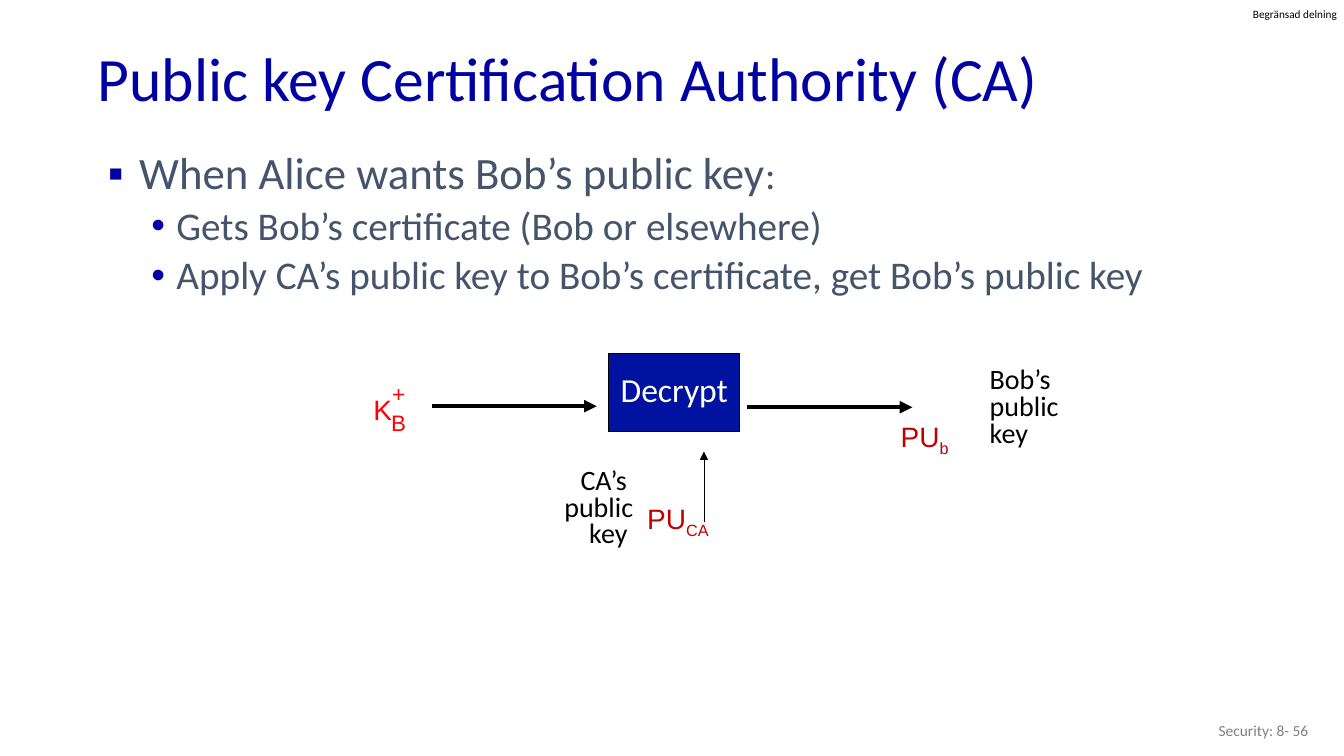
from lxml import etree
from pptx import Presentation
from pptx.dml.color import RGBColor
from pptx.enum.shapes import MSO_CONNECTOR, MSO_SHAPE
from pptx.enum.text import MSO_ANCHOR, MSO_AUTO_SIZE, PP_ALIGN
from pptx.oxml.ns import qn
from pptx.util import Inches, Pt

LEFT, CENTER, RIGHT = PP_ALIGN.LEFT, PP_ALIGN.CENTER, PP_ALIGN.RIGHT
TOP, MIDDLE = MSO_ANCHOR.TOP, MSO_ANCHOR.MIDDLE
WIDTH, HEIGHT = Inches(13.33), Inches(7.5)
# The slide is a grid of 100 columns by 100 rows
COL, ROW = WIDTH / 100, HEIGHT / 100
SANS, ARIAL = "Calibri", "Arial"
BLACK, WHITE, RED, DARK_RED = "000000", "FFFFFF", "FF0000", "C00000"
TITLE_BLUE, BOX_BLUE, SLATE, GREY = "0000A3", "0012A0", "44546A", "808080"


def color(value):
    return RGBColor.from_string(value)


def cells(box, left=0, top=0, width=None, height=None):
    """Length of a part given in columns and rows from the corner of a box."""
    width = box[2] if width is None else width
    height = box[3] if height is None else height
    return (round((box[0] + left) * COL), round((box[1] + top) * ROW),
            round(width * COL), round(height * ROW))


def place(shape, box):
    shape.left, shape.top, shape.width, shape.height = cells(box)


def add_span(para, text, size, ink, font=SANS, subscript=False):
    span = para.add_run()
    span.text = text
    span.font.size = Pt(size)
    span.font.name = font
    span.font.color.rgb = color(ink)
    if subscript:
        span.font._element.set("baseline", "-25000")


def set_frame(shape, anchor=TOP, wrap=True):
    frame = shape.text_frame
    frame.auto_size = MSO_AUTO_SIZE.NONE
    frame.word_wrap = wrap
    frame.vertical_anchor = anchor
    return frame


def add_label(page, where, lines, align=LEFT, spacing=1.0, anchor=TOP,
              wrap=True, fill=None):
    """Text box; each line is a list of spans."""
    box = page.shapes.add_textbox(*where)
    frame = set_frame(box, anchor, wrap)
    if fill:
        box.fill.solid()
        box.fill.fore_color.rgb = color(fill)
    for number, spans in enumerate(lines):
        para = frame.add_paragraph() if number else frame.paragraphs[0]
        para.alignment = align
        para.line_spacing = spacing
        for span in spans:
            add_span(para, *span)
    return box


def add_arrow(page, box, start, end, weight):
    x1, y1 = cells(box, *start)[:2]
    x2, y2 = cells(box, *end)[:2]
    arrow = page.shapes.add_connector(MSO_CONNECTOR.STRAIGHT, x1, y1, x2, y2)
    arrow.line.color.rgb = color(BLACK)
    arrow.line.width = Pt(weight)
    line = arrow.line._get_or_add_ln()
    etree.SubElement(line, qn("a:tailEnd"), type="triangle")
    etree.SubElement(arrow._element.spPr, qn("a:effectLst"))


def set_bullet(para, mark, ink, margin, hanging):
    props = para._p.get_or_add_pPr()
    props.set("marL", str(Inches(margin)))
    props.set("indent", str(-Inches(hanging)))
    tint = etree.SubElement(props, qn("a:buClr"))
    etree.SubElement(tint, qn("a:srgbClr"), val=ink)
    etree.SubElement(props, qn("a:buFont"), typeface=ARIAL)
    etree.SubElement(props, qn("a:buChar"), char=mark)


def draw_title(page, box):
    title = page.shapes.title
    place(title, box)
    para = set_frame(title, MIDDLE).paragraphs[0]
    para.alignment = LEFT
    para.line_spacing = 0.9
    add_span(para, "Public key Certification Authority (CA)", 44, TITLE_BLUE)


def draw_bullets(page, box):
    body = page.placeholders[1]
    place(body, box)
    frame = set_frame(body)
    items = [
        (0, [("When Alice wants Bob’s public key", 32), (":", 28)]),
        (1, [("Gets Bob’s certificate (Bob or elsewhere)", 28)]),
        (1, [("Apply CA’s public key to Bob’s certificate, "
              "get Bob’s public key", 28)]),
    ]
    bullets = [("▪", TITLE_BLUE, 0.39, 0.31), ("•", "0000A8", 0.76, 0.25)]
    for number, (level, spans) in enumerate(items):
        para = frame.add_paragraph() if number else frame.paragraphs[0]
        para.level = level
        para.line_spacing = 0.9
        para.space_before = Pt(5 if number else 0)
        set_bullet(para, *bullets[level])
        for text, size in spans:
            add_span(para, text, size, SLATE)


def draw_decryption(page, box):
    # Certificate key: K with B below and + above
    key_parts = [("K ", 20, (0, 4.4, 3.53, 5.87), WHITE),
                 ("B", 16, (1.35, 6.67, 2.63, 4.93), None),
                 ("+", 16, (1.43, 2.8, 2.48, 4.93), None)]
    for text, size, where, fill in key_parts:
        add_label(page, cells(box, *where), [[(text, size, RED, ARIAL)]],
                  CENTER, wrap=False, fill=fill)

    # Captions of the two public keys
    captions = [(45.9, 1.2, LEFT, [[("Bob’s", 20)], [("public", 20)], [("key", 20)]]),
                (12.98, 14.53, RIGHT,
                 [[("CA’s ", 20)], [("public", 20)], [("key", 20), (" ", 18)]])]
    for left, top, align, words in captions:
        lines = [[(text, size, BLACK) for text, size in line] for line in words]
        add_label(page, cells(box, left, top, 7.88, 12.27), lines, align, 0.8)

    # Decrypt block
    block = page.shapes.add_shape(MSO_SHAPE.RECTANGLE,
                                  *cells(box, 18.3, 0, 9.75, 10.27))
    block.shadow.inherit = False
    block.fill.solid()
    block.fill.fore_color.rgb = color(BOX_BLUE)
    block.line.color.rgb = color(BLACK)
    block.line.width = Pt(0.75)
    para = set_frame(block, MIDDLE, wrap=False).paragraphs[0]
    para.alignment = CENTER
    para.line_spacing = 0.8
    add_span(para, "Decrypt", 24, WHITE)

    # Arrows into and out of the block
    add_arrow(page, box, (25.38, 22.27), (25.38, 12.93), 0.5)
    add_arrow(page, box, (5.18, 6.93), (17.4, 6.93), 3)
    add_arrow(page, box, (28.58, 7.07), (40.88, 7.07), 3)

    # Public key symbols
    symbols = [("CA", (20.25, 18.93, 6.38, 5.87), None),
               ("b ", (39.08, 8, 5.78, 5.87), WHITE)]
    for owner, where, fill in symbols:
        spans = [("PU", 20, DARK_RED, ARIAL), (owner, 20, DARK_RED, ARIAL, True)]
        add_label(page, cells(box, *where), [spans], CENTER, wrap=False, fill=fill)


def draw_marking(page, box):
    label = add_label(page, cells(box), [[("Begränsad delning", 8, BLACK)]],
                      wrap=False)
    frame = label.text_frame
    frame.margin_left = frame.margin_right = 0
    frame.margin_top = frame.margin_bottom = 0


def draw_footer(page, box):
    add_label(page, cells(box), [[("Security: 8- 56", 11, GREY)]], RIGHT,
              anchor=MIDDLE)


def main():
    deck = Presentation()
    deck.slide_width, deck.slide_height = WIDTH, HEIGHT
    page = deck.slides.add_slide(deck.slide_layouts[1])
    draw_marking(page, (93.23, 0.93, 6.45, 1.73))
    draw_title(page, (6.53, 4.27, 86.25, 13.07))
    draw_footer(page, (75.6, 94, 22.5, 5.33))
    draw_bullets(page, (6.68, 19.33, 91.8, 24))
    draw_decryption(page, (27, 46.8, 54, 27))
    deck.save("out.pptx")


if __name__ == "__main__":
    main()
